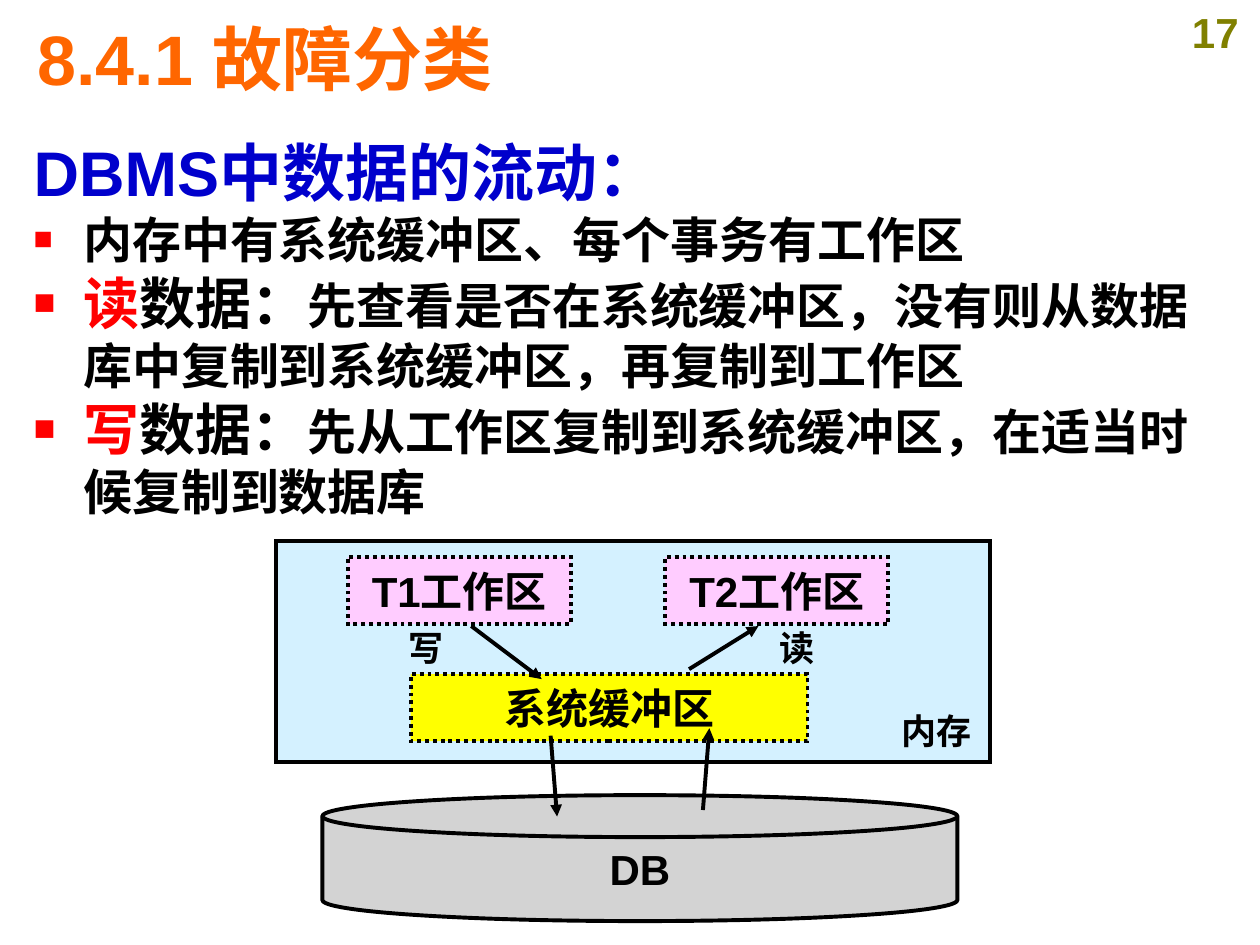
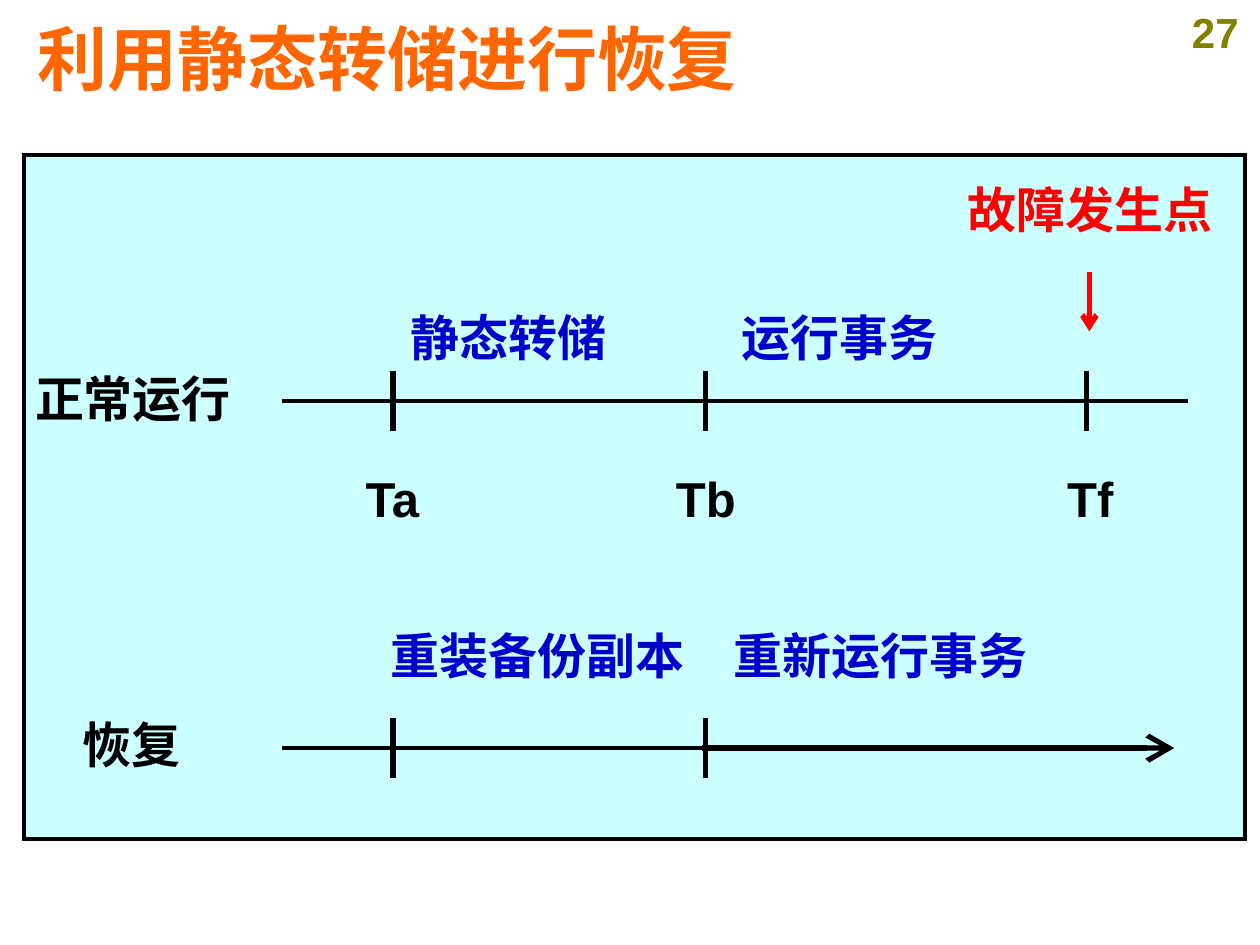
import pptx
import pptx.util
import pptx.dml.color
import pptx.enum.dml
import pptx.enum.shapes
import pptx.enum.text
import pptx.oxml.ns
import lxml.etree

Cm = pptx.util.Cm
Pt = pptx.util.Pt
RGBColor = pptx.dml.color.RGBColor
Shape = pptx.enum.shapes.MSO_SHAPE
Align = pptx.enum.text.PP_ALIGN
qn = pptx.oxml.ns.qn

FONT = "Arial"
BLACK = RGBColor(0x00, 0x00, 0x00)
RED = RGBColor(0xFF, 0x00, 0x00)
BLUE = RGBColor(0x00, 0x00, 0xCC)
ORANGE = RGBColor(0xFF, 0x66, 0x00)
OLIVE = RGBColor(0x80, 0x80, 0x00)
SKY = RGBColor(0xD4, 0xF1, 0xFF)
CYAN = RGBColor(0xCC, 0xFF, 0xFF)
PINK = RGBColor(0xFF, 0xCC, 0xFF)
YELLOW = RGBColor(0xFF, 0xFF, 0x00)
GREY = RGBColor(0xD3, 0xD3, 0xD3)


def write(shape, text, size, color=BLACK, align=Align.CENTER, wrap=False):
    frame = shape.text_frame
    frame.text = text
    frame.word_wrap = wrap
    frame.vertical_anchor = pptx.enum.text.MSO_ANCHOR.MIDDLE
    para = frame.paragraphs[0]
    para.alignment = align
    for run in para.runs:
        run.font.name = FONT
        run.font.size = Pt(size)
        run.font.bold = True
        run.font.color.rgb = color
        lxml.etree.SubElement(run.font._element, qn("a:ea"), typeface=FONT)


def draw(slide, x1, y1, x2, y2, width=2.25, tip=None, color=BLACK, head="med"):
    line = slide.shapes.add_connector(
        pptx.enum.shapes.MSO_CONNECTOR.STRAIGHT, Cm(x1), Cm(y1), Cm(x2), Cm(y2))
    line.line.color.rgb = color
    line.line.width = Pt(width)
    if tip:
        lxml.etree.SubElement(line.line._get_or_add_ln(), qn("a:tailEnd"),
                              type=tip, w=head, len=head)
    lxml.etree.SubElement(line._element.spPr, qn("a:effectLst"))


deck = pptx.Presentation()
deck.slide_width = Cm(25.4)
deck.slide_height = Cm(19.05)

slides = []
for title, page in [("8.4.1 故障分类", "17"), ("利用静态转储进行恢复", "27")]:
    slide = deck.slides.add_slide(deck.slide_layouts[6])
    box = slide.shapes.add_textbox(Cm(23.6), Cm(0), Cm(1.8), Cm(1.27))
    write(box, page, 24, OLIVE)
    box = slide.shapes.add_textbox(Cm(0.51), Cm(0.2), Cm(24.13), Cm(1.93))
    write(box, title, 40, ORANGE, Align.LEFT, True)
    slides.append(slide)
flow, dump = slides

body = flow.shapes.add_textbox(Cm(0.43), Cm(2.57), Cm(24.49), Cm(8.1))
write(body, "DBMS中数据的流动：", 36, BLUE, Align.LEFT, True)
frame = body.text_frame
frame.vertical_anchor = pptx.enum.text.MSO_ANCHOR.TOP
points = [
    [("内存中有系统缓冲区、每个事务有工作区", 28, BLACK)],
    [("读", 32, RED), ("数据：", 32, BLACK),
     ("先查看是否在系统缓冲区，没有则从数据库中复制到系统缓冲区，再复制到工作区", 28, BLACK)],
    [("写", 32, RED), ("数据：", 32, BLACK),
     ("先从工作区复制到系统缓冲区，在适当时候复制到数据库", 28, BLACK)],
]
for point in points:
    para = frame.add_paragraph()
    props = para._p.get_or_add_pPr()
    props.set("marL", str(Cm(1.0)))
    props.set("indent", str(Cm(-1.0)))
    tint = lxml.etree.SubElement(props, qn("a:buClr"))
    lxml.etree.SubElement(tint, qn("a:srgbClr"), val=str(RED))
    lxml.etree.SubElement(props, qn("a:buSzPct"), val="65000")
    lxml.etree.SubElement(props, qn("a:buFont"), typeface=FONT)
    lxml.etree.SubElement(props, qn("a:buChar"), char="■")
    for text, size, color in point:
        run = para.add_run()
        run.text = text
        run.font.name = FONT
        run.font.size = Pt(size)
        run.font.bold = True
        run.font.color.rgb = color
        lxml.etree.SubElement(run.font._element, qn("a:ea"), typeface=FONT)

blocks = [
    (flow, Shape.RECTANGLE, 5.56, 10.91, 14.4, 4.45, SKY, False, ""),
    (flow, Shape.FLOWCHART_MAGNETIC_DISK, 6.5, 16.03, 12.8, 2.54, GREY, False, "DB"),
    (flow, Shape.RECTANGLE, 7.01, 11.23, 4.5, 1.35, PINK, True, "T1工作区"),
    (flow, Shape.RECTANGLE, 13.41, 11.23, 4.5, 1.35, PINK, True, "T2工作区"),
    (flow, Shape.RECTANGLE, 8.28, 13.59, 8, 1.35, YELLOW, True, "系统缓冲区"),
    (dump, Shape.RECTANGLE, 0.48, 3.12, 24.62, 13.79, CYAN, False, ""),
]
for slide, kind, left, top, width, height, fill, dots, text in blocks:
    block = slide.shapes.add_shape(kind, Cm(left), Cm(top), Cm(width), Cm(height))
    block.shadow.inherit = False
    block.fill.solid()
    block.fill.fore_color.rgb = fill
    block.line.color.rgb = BLACK
    block.line.width = Pt(2.25)
    if dots:
        block.line.dash_style = pptx.enum.dml.MSO_LINE.ROUND_DOT
    lxml.etree.SubElement(block.line._get_or_add_ln(), qn("a:miter"), lim="800000")
    if text:
        write(block, text, 24)

for ends in [(9.5, 12.62, 10.92, 13.69), (13.89, 13.49, 15.29, 12.62),
             (14.17, 16.33, 14.3, 14.68), (11.1, 14.83, 11.23, 16.46)]:
    draw(flow, *ends, tip="triangle")

draw(dump, 5.69, 8.08, 23.95, 8.08)
draw(dump, 5.69, 15.08, 14.22, 15.08)
draw(dump, 14.15, 15.08, 23.67, 15.08, 3, "arrow", head="lg")
draw(dump, 21.96, 5.49, 21.96, 6.68, 3, "arrow", RED)
for y, ticks in [(8.08, (7.92, 14.22, 21.9)), (15.08, (7.92, 14.22))]:
    for x in ticks:
        draw(dump, x, y - 0.6, x, y + 0.6, 3)

labels = [
    (flow, "内存", 18.88, 14.17, 20, BLACK),
    (flow, "读", 16.06, 12.5, 20, BLACK),
    (flow, "写", 8.59, 12.5, 20, BLACK),
    (dump, "故障发生点", 21.98, 3.48, 28, RED),
    (dump, "静态转储", 10.25, 6.07, 28, BLUE),
    (dump, "运行事务", 16.93, 6.07, 28, BLUE),
    (dump, "正常运行", 2.68, 7.29, 28, BLACK),
    (dump, "Ta", 7.91, 9.32, 28, BLACK),
    (dump, "Tb", 14.23, 9.32, 28, BLACK),
    (dump, "Tf", 21.98, 9.32, 28, BLACK),
    (dump, "重装备份副本", 10.84, 12.47, 28, BLUE),
    (dump, "重新运行事务", 17.75, 12.47, 28, BLUE),
    (dump, "恢复", 2.66, 14.27, 28, BLACK),
]
for slide, text, mid, top, size, color in labels:
    width = len(text) * size * 0.036 + 0.6
    height = size * 0.043 + 0.25
    box = slide.shapes.add_textbox(Cm(mid - width / 2), Cm(top), Cm(width), Cm(height))
    write(box, text, size, color)

deck.save("out.pptx")
